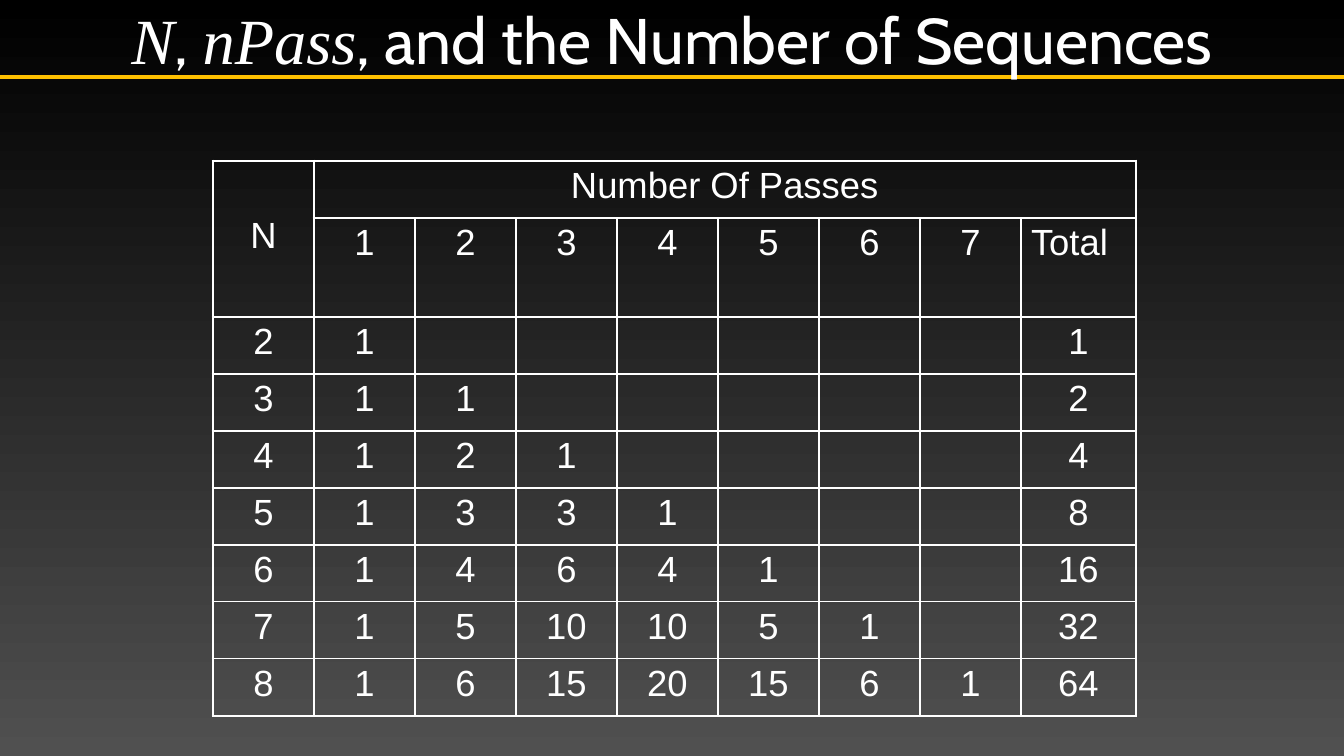
from dataclasses import dataclass
from math import comb

from lxml import etree
from pptx import Presentation
from pptx.dml.color import RGBColor
from pptx.enum.shapes import MSO_CONNECTOR
from pptx.enum.text import MSO_ANCHOR, PP_ALIGN
from pptx.oxml.ns import qn
from pptx.util import Emu, Pt

STRAIGHT = MSO_CONNECTOR.STRAIGHT
MIDDLE = MSO_ANCHOR.MIDDLE
LEFT, CENTER = PP_ALIGN.LEFT, PP_ALIGN.CENTER
EMU_PER_PIXEL = 914400 / 100.8
PAGE_WIDTH, PAGE_HEIGHT = 1344, 756
WHITE, GOLD, BLACK, GRAY = "FFFFFF", "FFC000", "000000", "505050"
THIN, THICK = 1, 2.25
PASSES = range(1, 8)
SIZES = range(2, 9)
COLUMN_WIDTHS = [101] * 8 + [115]
ROW_HEIGHTS = [57, 99] + [57] * 7
TABLE_LEFT, TABLE_TOP = 213, 161


@dataclass
class Span:
    text: str
    font: str
    size: float
    italic: bool = False


def px(pixels: float) -> Emu:
    return Emu(round(pixels * EMU_PER_PIXEL))


def rgb(color: str) -> RGBColor:
    return RGBColor.from_string(color)


def write(frame, spans: list[Span], align) -> None:
    para = frame.paragraphs[0]
    para.alignment = align
    for item in spans:
        span = para.add_run()
        span.text = item.text
        span.font.name = item.font
        span.font.size = Pt(item.size)
        span.font.italic = item.italic
        span.font.color.rgb = rgb(WHITE)


def add_rule(page, y: int) -> None:
    rule = page.shapes.add_connector(STRAIGHT, 0, px(y), px(PAGE_WIDTH), px(y))
    rule.line.color.rgb = rgb(GOLD)
    rule.line.width = Pt(2.5)
    etree.SubElement(rule._element.spPr, qn("a:effectLst"))


def add_title(page, spans: list[Span]) -> None:
    box = page.shapes.add_textbox(0, 0, px(PAGE_WIDTH), px(78))
    frame = box.text_frame
    frame.word_wrap = True
    frame.vertical_anchor = MIDDLE
    frame.margin_left = frame.margin_right = px(5)
    frame.margin_top = frame.margin_bottom = px(5)
    write(frame, spans, CENTER)


def add_border(cell, side: str, width: float) -> None:
    line = etree.SubElement(cell._tc.get_or_add_tcPr(), qn(f"a:ln{side}"), w=str(Pt(width)))
    fill = etree.SubElement(line, qn("a:solidFill"))
    etree.SubElement(fill, qn("a:srgbClr"), val=WHITE)


def style_cell(cell, row: int, column: int) -> None:
    last_row = row + cell.span_height if cell.is_merge_origin else row + 1
    last_column = column + cell.span_width if cell.is_merge_origin else column + 1
    thick_rows = (0, 2, len(ROW_HEIGHTS))
    thick_columns = (0, 1, len(COLUMN_WIDTHS))
    add_border(cell, "L", THICK if column in thick_columns else THIN)
    add_border(cell, "R", THICK if last_column in thick_columns else THIN)
    add_border(cell, "T", THICK if row in thick_rows else THIN)
    add_border(cell, "B", THICK if last_row in thick_rows else THIN)
    cell.fill.background()


def sequence_rows() -> list[list[str]]:
    rows = [["N", "Number Of Passes"] + [""] * 7,
            [""] + [str(count) for count in PASSES] + ["Total"]]
    for size in SIZES:
        counts = [comb(size - 2, count - 1) for count in PASSES]
        rows.append([str(size)] + [str(count or "") for count in counts] + [str(sum(counts))])
    return rows


def add_sequence_table(page) -> None:
    rows = sequence_rows()
    table = page.shapes.add_table(
        len(ROW_HEIGHTS), len(COLUMN_WIDTHS), px(TABLE_LEFT), px(TABLE_TOP),
        px(sum(COLUMN_WIDTHS)), px(sum(ROW_HEIGHTS))).table
    table.first_row = table.horz_banding = False
    for column, width in zip(table.columns, COLUMN_WIDTHS):
        column.width = px(width)
    for row, height in zip(table.rows, ROW_HEIGHTS):
        row.height = px(height)
    corner = table.cell(0, 0)
    corner.merge(table.cell(1, 0))
    table.cell(0, 1).merge(table.cell(0, len(COLUMN_WIDTHS) - 1))
    for row, texts in enumerate(rows):
        for column, text in enumerate(texts):
            cell = table.cell(row, column)
            style_cell(cell, row, column)
            if text:
                align = LEFT if text == "Total" else CENTER
                write(cell.text_frame, [Span(text, "Arial", 26)], align)
    corner.vertical_anchor = MIDDLE
    corner.margin_bottom = px(11)


deck = Presentation()
deck.slide_width, deck.slide_height = px(PAGE_WIDTH), px(PAGE_HEIGHT)
page = deck.slides.add_slide(deck.slide_layouts[6])
backdrop = page.background.fill
backdrop.gradient()
backdrop.gradient_angle = 270
for stop, color in zip(backdrop.gradient_stops, (BLACK, GRAY)):
    stop.color.rgb = rgb(color)
add_rule(page, 77)
add_title(page, [
    Span("N", "Times New Roman", 46, True),
    Span(", ", "Cabin", 46),
    Span("nPass", "Times New Roman", 46, True),
    Span(", and the Number of Sequences", "Cabin", 46),
])
add_sequence_table(page)
deck.save("out.pptx")
